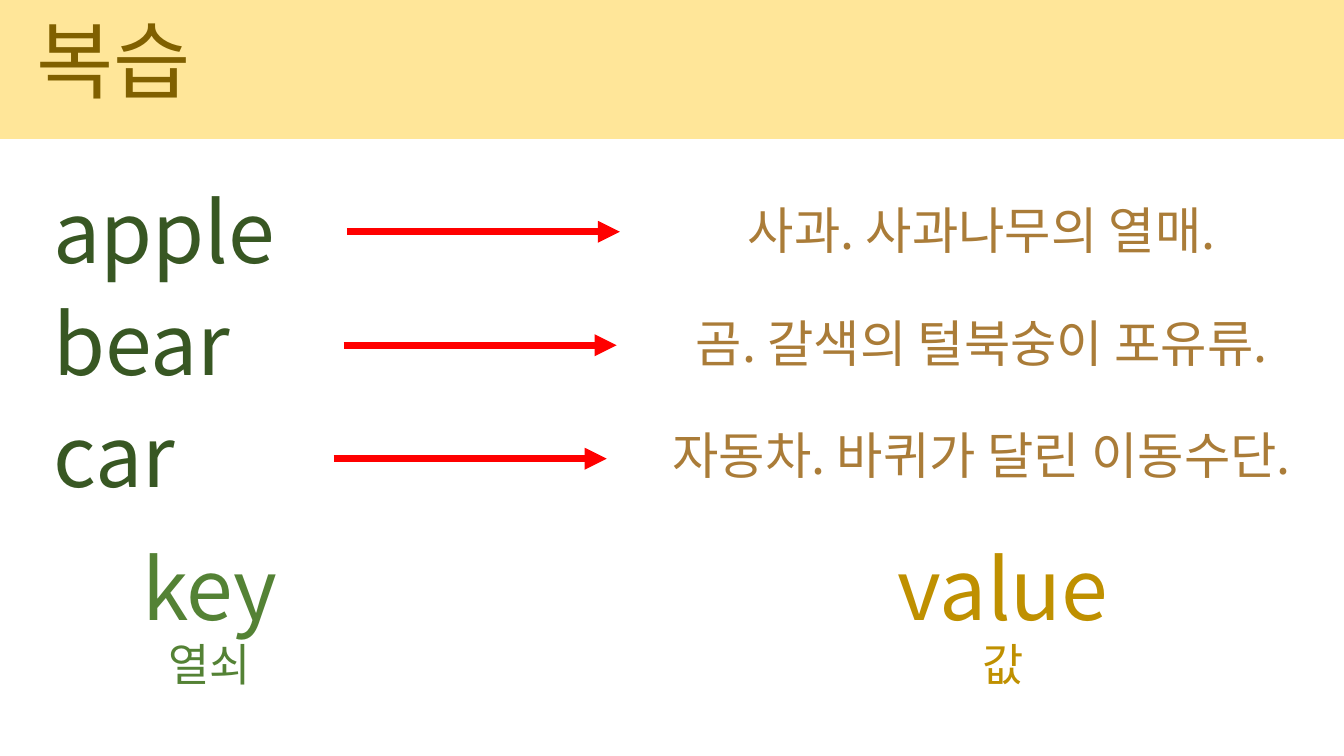
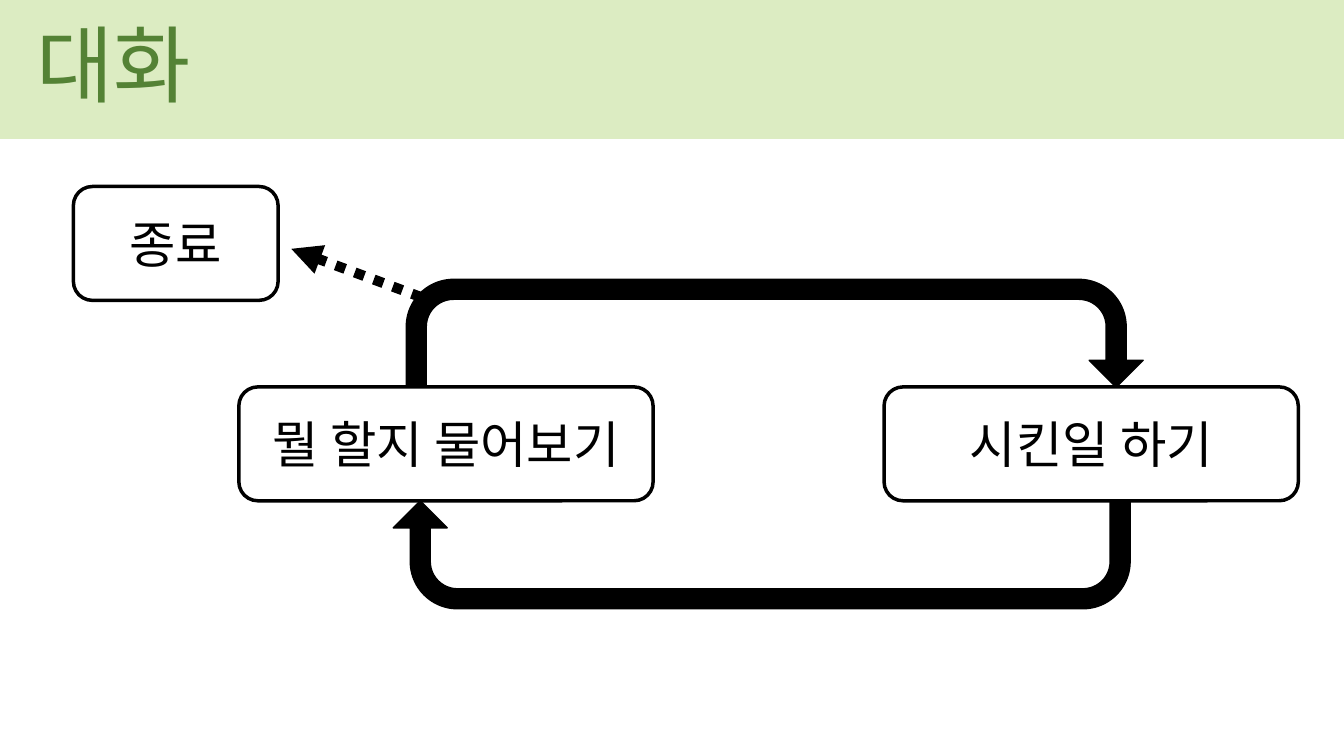
from lxml import etree
from pptx import Presentation
from pptx.dml.color import RGBColor
from pptx.enum.dml import MSO_LINE
from pptx.enum.shapes import MSO_CONNECTOR, MSO_SHAPE
from pptx.enum.text import MSO_ANCHOR, PP_ALIGN
from pptx.oxml.ns import qn
from pptx.util import Cm, Pt

LEFT, CENTER = PP_ALIGN.LEFT, PP_ALIGN.CENTER
MIDDLE = MSO_ANCHOR.MIDDLE
RECT, ROUNDED, UTURN = MSO_SHAPE.RECTANGLE, MSO_SHAPE.ROUNDED_RECTANGLE, MSO_SHAPE.U_TURN_ARROW
STRAIGHT = MSO_CONNECTOR.STRAIGHT
DOTTED = MSO_LINE.ROUND_DOT


class Theme:
    font = "Noto Sans CJK KR"
    big, body, small = 60, 36, 32
    yellow_band, brown_title = RGBColor.from_string("FFE699"), RGBColor.from_string("806000")
    green_band, green = RGBColor.from_string("DCECC2"), RGBColor.from_string("548235")
    dark_green, tan = RGBColor.from_string("385723"), RGBColor.from_string("AA7C38")
    gold, red = RGBColor.from_string("BF9000"), RGBColor.from_string("FF0000")
    black, white = RGBColor.from_string("000000"), RGBColor.from_string("FFFFFF")


def write(tf, text, *, size, color, align=LEFT, new_paragraph=False):
    tf.word_wrap = True
    p = tf.add_paragraph() if new_paragraph else tf.paragraphs[0]
    p.alignment = align
    r = p.add_run()
    r.text = text
    r.font.size = Pt(size)
    r.font.name = Theme.font
    r.font.color.rgb = color
    etree.SubElement(r.font._element, qn("a:ea"), typeface=Theme.font)


def add_arrow(s, x1, y1, x2, y2, *, color, width, dash=None):
    line = s.shapes.add_connector(STRAIGHT, Cm(x1), Cm(y1), Cm(x2), Cm(y2))
    line.line.color.rgb = color
    line.line.width = Pt(width)
    if dash is not None:
        line.line.dash_style = dash
    sp_pr = line._element.spPr
    etree.SubElement(sp_pr.find(qn("a:ln")), qn("a:tailEnd"), type="triangle")
    etree.SubElement(sp_pr, qn("a:effectLst"))


prs = Presentation()
prs.slide_width, prs.slide_height = Cm(33.87), Cm(19.05)

slides = []
for title, title_top, band_color, title_color in (
    ("복습", 0.1, Theme.yellow_band, Theme.brown_title),
    ("대화", 0.2, Theme.green_band, Theme.green),
):
    s = prs.slides.add_slide(prs.slide_layouts[6])
    band = s.shapes.add_shape(RECT, 0, 0, prs.slide_width, Cm(3.5))
    band.shadow.inherit = False
    band.fill.solid()
    band.fill.fore_color.rgb = band_color
    band.line.fill.background()
    sp = s.shapes.add_textbox(Cm(0.66), Cm(title_top), Cm(30.86), Cm(2.82))
    write(sp.text_frame, title, size=Theme.big, color=title_color)
    slides.append(s)

review, dialogue = slides

for i, (word, meaning, arrow_left) in enumerate((
    ("apple", "사과. 사과나무의 열매.", 8.74),
    ("bear", "곰. 갈색의 털북숭이 포유류.", 8.66),
    ("car", "자동차. 바퀴가 달린 이동수단.", 8.41),
)):
    top = 4.39 + i * 2.83
    sp = review.shapes.add_textbox(Cm(1.1), Cm(top), Cm(16.33), Cm(2.82))
    write(sp.text_frame, word, size=Theme.big, color=Theme.dark_green)
    sp = review.shapes.add_textbox(Cm(15.99), Cm(top + 0.51), Cm(17.5), Cm(1.8))
    write(sp.text_frame, meaning, size=Theme.body, color=Theme.tan, align=CENTER)
    arrow_y = 5.84 + i * 2.86
    add_arrow(review, arrow_left, arrow_y, arrow_left + 6.88, arrow_y, color=Theme.red, width=5.25)

for term, korean, left, color in (
    ("key", "열쇠", 2.18, Theme.green),
    ("value", "값", 22.17, Theme.gold),
):
    sp = review.shapes.add_textbox(Cm(left), Cm(13.39), Cm(6.22), Cm(4.19))
    write(sp.text_frame, term, size=Theme.big, color=color, align=CENTER)
    write(sp.text_frame, korean, size=Theme.small, color=color, align=CENTER, new_paragraph=True)

for label, left, top, width in (
    ("뭘 할지 물어보기", 6.02, 9.75, 10.44),
    ("시킨일 하기", 22.28, 9.75, 10.44),
    ("종료", 1.85, 4.7, 5.16),
):
    sp = dialogue.shapes.add_shape(ROUNDED, Cm(left), Cm(top), Cm(width), Cm(2.87))
    sp.shadow.inherit = False
    sp.fill.solid()
    sp.fill.fore_color.rgb = Theme.white
    sp.line.color.rgb = Theme.black
    sp.line.width = Pt(2.5)
    sp.text_frame.vertical_anchor = MIDDLE
    write(sp.text_frame, label, size=Theme.body, color=Theme.black, align=CENTER)

for left, top, rotation in ((10.24, 7.04, 0), (9.91, 12.62, 180)):
    sp = dialogue.shapes.add_shape(UTURN, Cm(left), Cm(top), Cm(18.57), Cm(2.72))
    sp.rotation = rotation
    sp.shadow.inherit = False
    for i, value in enumerate((0.185, 0.25, 0.25, 0.438, 1)):
        sp.adjustments[i] = value
    sp.fill.solid()
    sp.fill.fore_color.rgb = Theme.black
    sp.line.color.rgb = Theme.black
    sp.line.width = Pt(1)

add_arrow(dialogue, 10.62, 7.49, 7.34, 6.27, color=Theme.black, width=7.25, dash=DOTTED)

prs.save("out.pptx")
